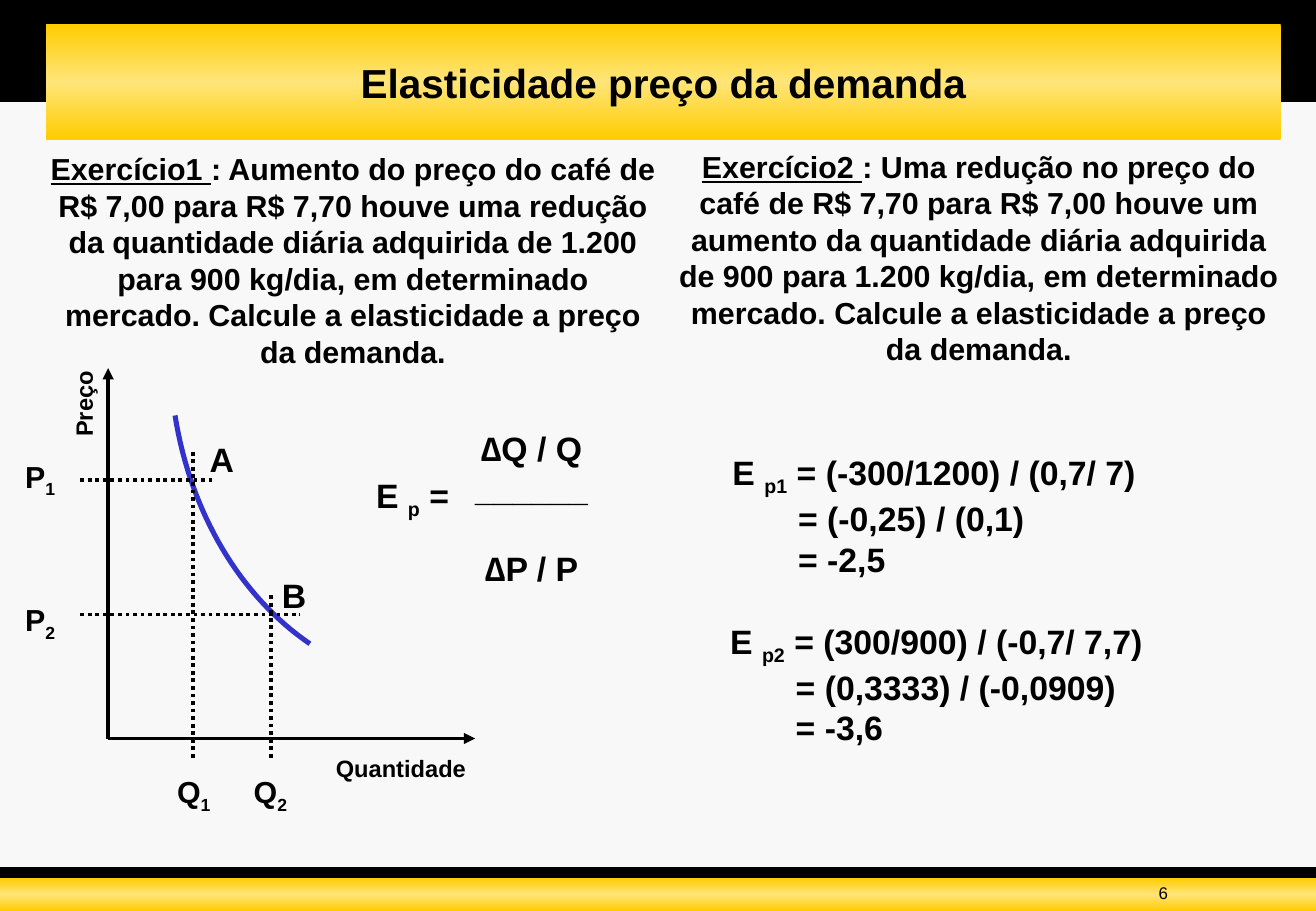
from copy import deepcopy
from dataclasses import dataclass

from pptx import Presentation
from pptx.dml.color import RGBColor
from pptx.enum.dml import MSO_LINE
from pptx.enum.shapes import MSO_CONNECTOR, MSO_SHAPE
from pptx.enum.text import MSO_ANCHOR, PP_ALIGN
from pptx.oxml.ns import qn
from pptx.util import Inches, Pt
from lxml import etree

STRAIGHT = MSO_CONNECTOR.STRAIGHT
RECTANGLE = MSO_SHAPE.RECTANGLE
DOTTED = MSO_LINE.ROUND_DOT
LEFT, CENTER, RIGHT = PP_ALIGN.LEFT, PP_ALIGN.CENTER, PP_ALIGN.RIGHT
TOP, MIDDLE = MSO_ANCHOR.TOP, MSO_ANCHOR.MIDDLE
TITLE_ONLY = 5

SUB = {"subscript": True}
UNDERLINE = {"underline": True}


@dataclass(frozen=True)
class Theme:
    font: str = "Arial"
    ink: RGBColor = RGBColor(0, 0, 0)
    page: RGBColor = RGBColor(0xF8, 0xF8, 0xF8)
    gold: RGBColor = RGBColor(0xFF, 0xCC, 0x00)
    pale_gold: RGBColor = RGBColor(0xFF, 0xE5, 0x79)
    curve: RGBColor = RGBColor(0x33, 0x33, 0xCC)
    title: int = 24
    formula: int = 20
    body: int = 18
    axis: int = 14
    number: int = 10
    axis_line: float = 2.25
    curve_line: float = 3


class SlideBuilder:
    def __init__(self, deck, theme):
        self.theme = theme
        self.slide = deck.slides.add_slide(deck.slide_layouts[TITLE_ONLY])
        self.shapes = self.slide.shapes
        background = self.slide.background.fill
        background.solid()
        background.fore_color.rgb = theme.page

    def set_text(self, frame, paragraphs, size, bold=True, align=CENTER,
                 anchor=TOP, wrap=True, indent=0, gap=0, top=0.05):
        """Fill a frame; each paragraph is a list of (text, format) spans.

        The indent applies after the first paragraph, the gap before the last.
        """
        frame.word_wrap = wrap
        frame.vertical_anchor = anchor
        frame.margin_top = Inches(top)
        for index, spans in enumerate(paragraphs):
            para = frame.paragraphs[0] if index == 0 else frame.add_paragraph()
            para.alignment = align
            if index and indent:
                para._p.get_or_add_pPr().set("marL", str(Inches(indent)))
            if gap and index == len(paragraphs) - 1:
                para.space_before = Pt(gap)
            for text, style in spans:
                span = para.add_run()
                span.text = text
                font = span.font
                font.name, font.size, font.bold = self.theme.font, Pt(size), bold
                font.color.rgb = self.theme.ink
                if style.get("underline"):
                    font.underline = True
                if style.get("subscript"):
                    span._r.get_or_add_rPr().set("baseline", "-25000")

    def title(self, text, *place):
        title = self.shapes.title
        title.left, title.top, title.width, title.height = map(Inches, place)
        self.set_text(title.text_frame, [[(text, {})]], self.theme.title, anchor=MIDDLE)
        self.shapes._spTree.append(title._element)

    def text(self, paragraphs, *place, rotation=0, **style):
        box = self.shapes.add_textbox(*map(Inches, place))
        box.rotation = rotation
        self.set_text(box.text_frame, paragraphs, **style)

    def band(self, *place, golden=False):
        band = self.shapes.add_shape(RECTANGLE, *map(Inches, place))
        band.shadow.inherit = False
        band.line.fill.background()
        if not golden:
            band.fill.solid()
            band.fill.fore_color.rgb = self.theme.ink
            return
        band.fill.gradient()
        band.fill.gradient_angle = 90
        stops = band._element.spPr.find(".//" + qn("a:gsLst"))
        stops.append(deepcopy(stops[0]))
        colors = (self.theme.gold, self.theme.pale_gold, self.theme.gold)
        for index, (stop, color) in enumerate(zip(band.fill.gradient_stops, colors)):
            stop.position = index / 2
            stop.color.rgb = color

    def line(self, *ends, arrow=False, dash=None):
        line = self.shapes.add_connector(STRAIGHT, *map(Inches, ends))
        line.line.color.rgb = self.theme.ink
        line.line.width = Pt(self.theme.axis_line)
        if dash:
            line.line.dash_style = dash
        if arrow:
            outline = line._element.spPr.find(qn("a:ln"))
            etree.SubElement(outline, qn("a:tailEnd"), type="triangle")
        etree.SubElement(line._element.spPr, qn("a:effectLst"))

    def curve(self, controls, steps=32):
        """Draw a cubic Bézier curve through four control points."""
        points = []
        for step in range(steps + 1):
            t = step / steps
            weights = ((1 - t) ** 3, 3 * t * (1 - t) ** 2, 3 * t * t * (1 - t), t ** 3)
            points.append(tuple(
                Inches(sum(w * c[axis] for w, c in zip(weights, controls)))
                for axis in (0, 1)))
        builder = self.shapes.build_freeform(*points[0])
        builder.add_line_segments(points[1:], close=False)
        curve = builder.convert_to_shape()
        curve.shadow.inherit = False
        curve.fill.background()
        curve.line.color.rgb = self.theme.curve
        curve.line.width = Pt(self.theme.curve_line)


def draw_frame(page, theme):
    banner = (0.38, 0.2, 10.16, 0.95)
    page.band(0, 0, 10.83, 0.84)
    page.band(*banner, golden=True)
    page.band(0, 7.14, 10.83, 0.36)
    page.band(0, 7.23, 10.83, 0.27, golden=True)
    page.title("Elasticidade preço da demanda", *banner)
    page.text([[("6", {})]], 8.57, 7.22, 1.14, 0.28,
              size=theme.number, bold=False, align=RIGHT)


def draw_demand_chart(page, theme):
    origin = (0.89, 6.08)
    page.line(*origin, 0.89, 3.03, arrow=True)
    page.line(*origin, 3.91, 6.08, arrow=True)
    page.text([[("Preço", {})]], 0.21, 3.16, 0.95, 0.33, rotation=270, size=theme.axis)
    page.text([[("Quantidade", {})]], 2.62, 6.16, 1.36, 0.33, size=theme.axis)
    page.curve([(2.55, 5.3), (1.98, 4.91), (1.57, 4.23), (1.44, 3.42)])

    # index, quantity, price, guide right end, guide top, quantity label left
    guides = (("1", 1.59, 3.95, 1.76, 3.72, 1.35),
              ("2", 2.23, 5.06, 2.47, 4.9, 1.98))
    for index, quantity, price, right, top, label_left in guides:
        page.line(0.66, price, right, price, dash=DOTTED)
        page.line(quantity, top, quantity, 6.24, dash=DOTTED)
        page.text([[("P", {}), (index, SUB)]], 0.1, top, 0.46, 0.4,
                  size=theme.body, wrap=False)
        page.text([[("Q", {}), (index, SUB)]], label_left, 6.32, 0.49, 0.4,
                  size=theme.body, wrap=False)
    page.text([[("A", {})]], 1.59, 3.56, 0.47, 0.44, size=theme.formula)
    page.text([[("B", {})]], 2.15, 4.68, 0.54, 0.44, size=theme.formula)


def draw_exercises(page, theme):
    exercises = (
        ("Exercício1 ", ": Aumento do preço do café de R$ 7,00 para R$ 7,70 houve uma "
         "redução da quantidade diária adquirida de 1.200 para 900 kg/dia, em "
         "determinado mercado. Calcule a elasticidade a preço da demanda.", 0.31, 1.19),
        ("Exercício2 ", ": Uma redução no preço do café de R$ 7,70 para R$ 7,00 houve um "
         "aumento da quantidade diária adquirida de 900 para 1.200 kg/dia, em "
         "determinado mercado. Calcule a elasticidade a preço da demanda.", 5.46, 1.17))
    for heading, question, left, top in exercises:
        page.text([[(heading, UNDERLINE), (question, {})]], left, top, 5.19, 1.92,
                  size=theme.body)


def draw_formulas(page, theme):
    fraction = [[(text, {})] for text in ("∆Q / Q", "______", "∆P / P")]
    page.text(fraction, 3.81, 3.15, 1.13, 1.77, size=theme.formula,
              wrap=False, gap=23, top=0.37)
    page.text([[("E ", {}), ("p", SUB), (" =", {})]], 2.99, 3.86, 0.81, 0.43,
              size=theme.formula, wrap=False)

    solutions = (
        ("p1", (" = (-300/1200) / (0,7/ 7)", "= (-0,25) / (0,1)", "= -2,5"), 5.93, 3.67),
        ("p2", (" = (300/900) / (-0,7/ 7,7)", "= (0,3333) / (-0,0909)", "= -3,6"), 5.91, 5.06))
    for index, (first, *steps), left, top in solutions:
        paragraphs = [[("E ", {}), (index, SUB), (first, {})]]
        paragraphs += [[(step, {})] for step in steps]
        page.text(paragraphs, left, top, 3.64, 1.11, size=theme.formula,
                  align=LEFT, indent=0.54)


def main():
    deck = Presentation()
    deck.slide_width, deck.slide_height = Inches(10.83), Inches(7.5)
    theme = Theme()
    page = SlideBuilder(deck, theme)
    for draw in (draw_frame, draw_demand_chart, draw_exercises, draw_formulas):
        draw(page, theme)
    deck.save("out.pptx")


if __name__ == "__main__":
    main()
